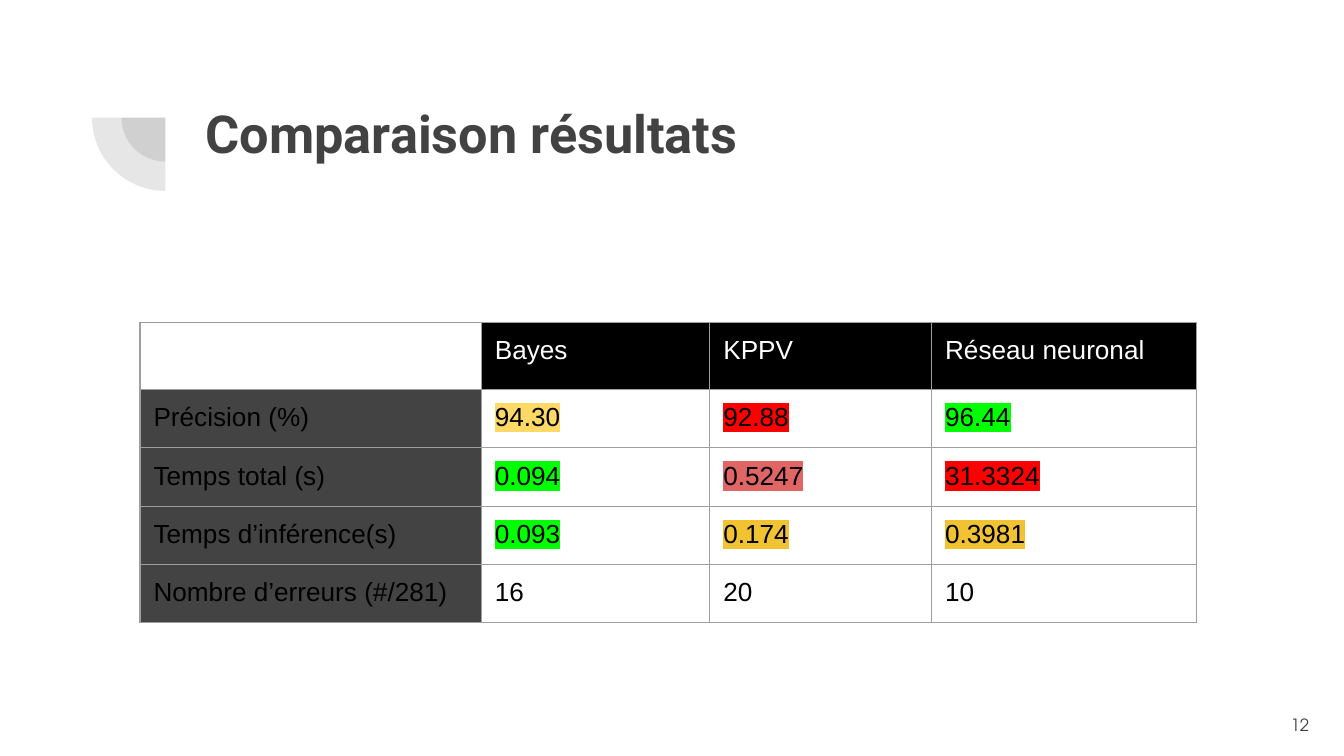
from lxml.etree import SubElement
from pptx import Presentation
from pptx.dml.color import RGBColor as RGB
from pptx.enum.shapes import MSO_SHAPE as SHAPE
from pptx.enum.text import MSO_ANCHOR as ANCHOR, PP_ALIGN as ALIGN
from pptx.oxml.ns import qn
from pptx.util import Inches, Pt

WIDTH = Inches(10)
HEIGHT = WIDTH * 9 // 16
COLUMNS = 100
UNIT = WIDTH / COLUMNS
INSET = Inches(0.1)
COLORS = {
    "ink": "424242", "label": "434343", "black": "000000", "white": "FFFFFF",
    "border": "9E9E9E", "green": "00FF00", "red": "FF0000", "rose": "E06666",
    "yellow": "FFD966", "gold": "F1C232",
}
COLUMN_WIDTHS = [25.4, 17, 16.5, 19.7]
ROWS = [
    ["", "Bayes", "KPPV", "Réseau neuronal"],
    ["Précision (%)", "94.30", "92.88", "96.44"],
    ["Temps total (s)", "0.094", "0.5247", "31.3324"],
    ["Temps d’inférence(s)", "0.093", "0.174", "0.3981"],
    ["Nombre d’erreurs (#/281)", "16", "20", "10"],
]
HIGHLIGHTS = {
    (1, 1): "yellow", (1, 2): "red", (1, 3): "green",
    (2, 1): "green", (2, 2): "rose", (2, 3): "red",
    (3, 1): "green", (3, 2): "gold", (3, 3): "gold",
}


def place(*units):
    return [round(u * UNIT) for u in units]


def rgb(name):
    return RGB.from_string(COLORS[name])


def add_color(parent, name):
    return SubElement(parent, qn("a:srgbClr"), val=COLORS[name])


def style_run(r, size, font, color, bold=False, highlight=None):
    r.font.size, r.font.bold = Pt(size), bold
    r.font.color.rgb = rgb(color)
    if highlight:
        add_color(SubElement(r.font._element, qn("a:highlight")), highlight)
    r.font.name = font


def set_margins(obj):
    obj.margin_left = obj.margin_right = INSET
    obj.margin_top = obj.margin_bottom = INSET


def add_emblem(s, box):
    left, top, size = box
    for share in (0.6, 1):
        side = size * share
        offset = (size - side) / 2
        sp = s.shapes.add_shape(
            SHAPE.PIE, *place(left + offset, top + offset, side, side))
        sp.adjustments[0], sp.adjustments[1] = 108, 162
        sp.rotation = 270
        sp.shadow.inherit = False
        sp.line.fill.background()
        sp.fill.solid()
        sp.fill.fore_color.rgb = rgb("ink")
        clr = sp.fill._xPr.find(".//" + qn("a:srgbClr"))
        SubElement(clr, qn("a:alpha"), val="13000")


def add_text(s, box, text, size, font, bold=False,
             align=ALIGN.LEFT, anchor=ANCHOR.TOP):
    tf = s.shapes.add_textbox(*place(*box)).text_frame
    tf.word_wrap = True
    tf.vertical_anchor = anchor
    set_margins(tf)
    p = tf.paragraphs[0]
    p.text, p.alignment = text, align
    style_run(p.runs[0], size, font, "ink", bold)


def add_borders(cell):
    tc_pr = cell._tc.get_or_add_tcPr()
    for side in ("lnL", "lnR", "lnT", "lnB"):
        ln = SubElement(tc_pr, qn(f"a:{side}"), w=str(Pt(0.75)))
        add_color(SubElement(ln, qn("a:solidFill")), "border")


def cell_colors(row, col):
    if row == 0 and col > 0:
        return "black", "white"
    if row > 0 and col == 0:
        return "label", "black"
    return None, "black"


def add_results(s, box):
    left, top, row_height = box
    frame = s.shapes.add_table(
        len(ROWS), len(COLUMN_WIDTHS),
        *place(left, top, sum(COLUMN_WIDTHS), row_height * len(ROWS)))
    table = frame.table
    table.first_row = table.horz_banding = False
    for column, width in zip(table.columns, COLUMN_WIDTHS):
        column.width = place(width)[0]
    for i, values in enumerate(ROWS):
        table.rows[i].height = place(row_height)[0]
        for j, value in enumerate(values):
            cell = table.cell(i, j)
            fill, color = cell_colors(i, j)
            set_margins(cell)
            add_borders(cell)
            if fill:
                cell.fill.solid()
                cell.fill.fore_color.rgb = rgb(fill)
            else:
                cell.fill.background()
            p = cell.text_frame.paragraphs[0]
            if value:
                p.text = value
                style_run(p.runs[0], 14, "Arial", color,
                          highlight=HIGHLIGHTS.get((i, j)))
            else:
                end = SubElement(p._p, qn("a:endParaRPr"), sz="1800")
                SubElement(end, qn("a:latin"), typeface="Arial")


def main():
    prs = Presentation()
    prs.slide_width, prs.slide_height = WIDTH, HEIGHT
    s = prs.slides.add_slide(prs.slide_layouts[6])
    s.background.fill.solid()
    s.background.fill.fore_color.rgb = rgb("white")
    add_emblem(s, (6.85, 3.3, 10.9))
    add_text(s, (14.3, 6.5, 76.9, 10.9), "Comparaison résultats",
             28, "Roboto", bold=True)
    add_text(s, (92.4, 51.8, 6, 4.3), "12", 9, "TeX Gyre Adventor",
             align=ALIGN.RIGHT, anchor=ANCHOR.MIDDLE)
    add_results(s, (10.42, 23.98, 4.33))
    prs.save("out.pptx")


if __name__ == "__main__":
    main()
